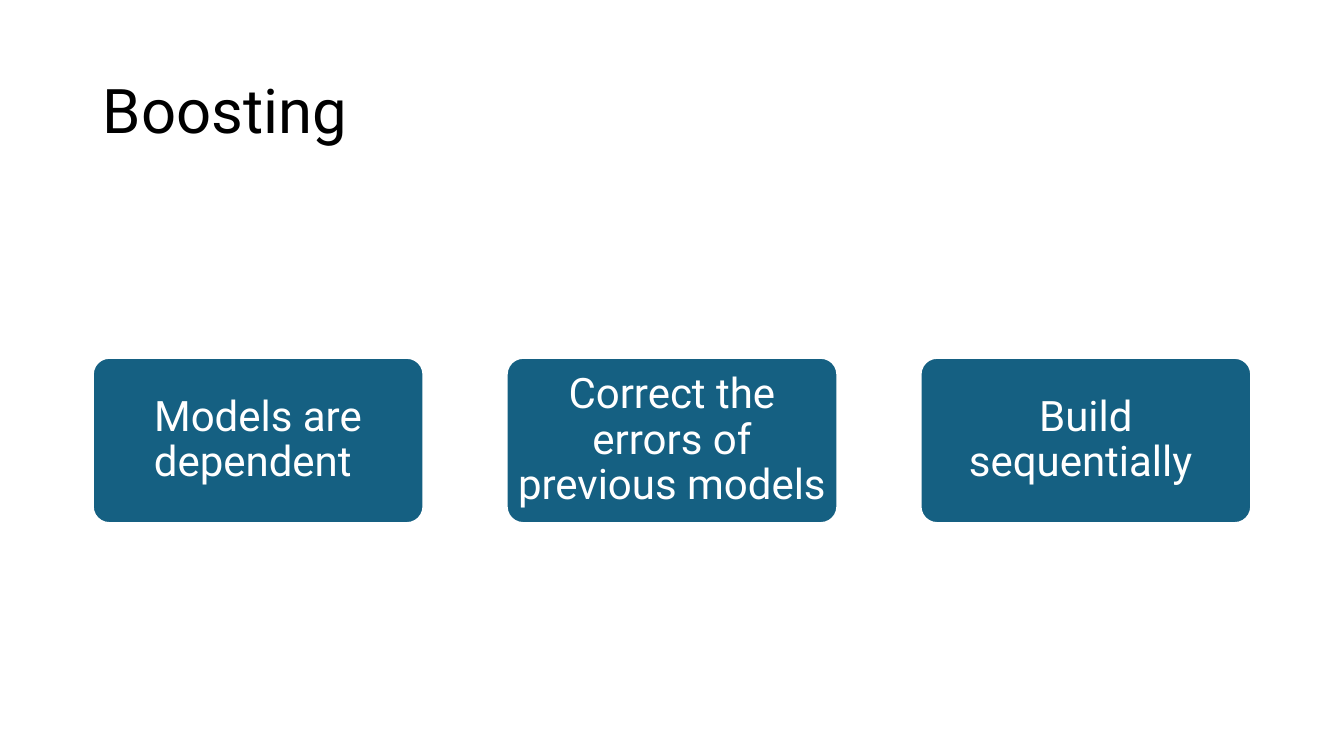
"""Build the Boosting slide: a title above three evenly spaced cards."""
import pptx
import pptx.dml.color
import pptx.enum.shapes
import pptx.enum.text
import pptx.util

Inches = pptx.util.Inches
Align = pptx.enum.text.PP_ALIGN

TITLE = "Boosting"
CARDS = [
    "Models are dependent ",
    "Correct the errors of previous models",
    "Build sequentially ",
]
THEME = {
    "font": "Roboto",
    "ink": "000000",
    "card": "156082",
    "light": "FFFFFF",
    "title": 44,
    "body": 30,
    "edge": 1.5,
}
LEFT, TOP = 0.92, 3.55
WIDE, HIGH = 3.28, 1.64
SPAN = 11.49


def color(name):
    return pptx.dml.color.RGBColor.from_string(THEME[name])


def write(shape, text, size, ink, align=Align.LEFT, inset=(0.1, 0.05)):
    frame = shape.text_frame
    frame.word_wrap = True
    frame.vertical_anchor = pptx.enum.text.MSO_ANCHOR.MIDDLE
    frame.margin_left = frame.margin_right = Inches(inset[0])
    frame.margin_top = frame.margin_bottom = Inches(inset[1])
    para = frame.paragraphs[0]
    para.alignment = align
    para.line_spacing = 0.9
    run = para.add_run()
    run.text = text
    run.font.name = THEME["font"]
    run.font.size = pptx.util.Pt(THEME[size])
    run.font.color.rgb = color(ink)


def add_card(slide, left, text):
    card = slide.shapes.add_shape(
        pptx.enum.shapes.MSO_SHAPE.ROUNDED_RECTANGLE,
        Inches(left), Inches(TOP), Inches(WIDE), Inches(HIGH))
    card.adjustments[0] = 0.1
    card.shadow.inherit = False
    card.fill.solid()
    card.fill.fore_color.rgb = color("card")
    card.line.color.rgb = color("light")
    card.line.width = pptx.util.Pt(THEME["edge"])
    write(card, text, "body", "light", align=Align.CENTER, inset=(0.05, 0.04))


def main():
    deck = pptx.Presentation()
    deck.slide_width, deck.slide_height = Inches(13.33), Inches(7.5)
    slide = deck.slides.add_slide(deck.slide_layouts[6])
    title = slide.shapes.add_textbox(
        Inches(LEFT), Inches(0.4), Inches(11.5), Inches(1.45))
    write(title, TITLE, "title", "ink")
    step = (SPAN - WIDE) / (len(CARDS) - 1)
    for index, text in enumerate(CARDS):
        add_card(slide, LEFT + index * step, text)
    deck.save("out.pptx")


if __name__ == "__main__":
    main()
